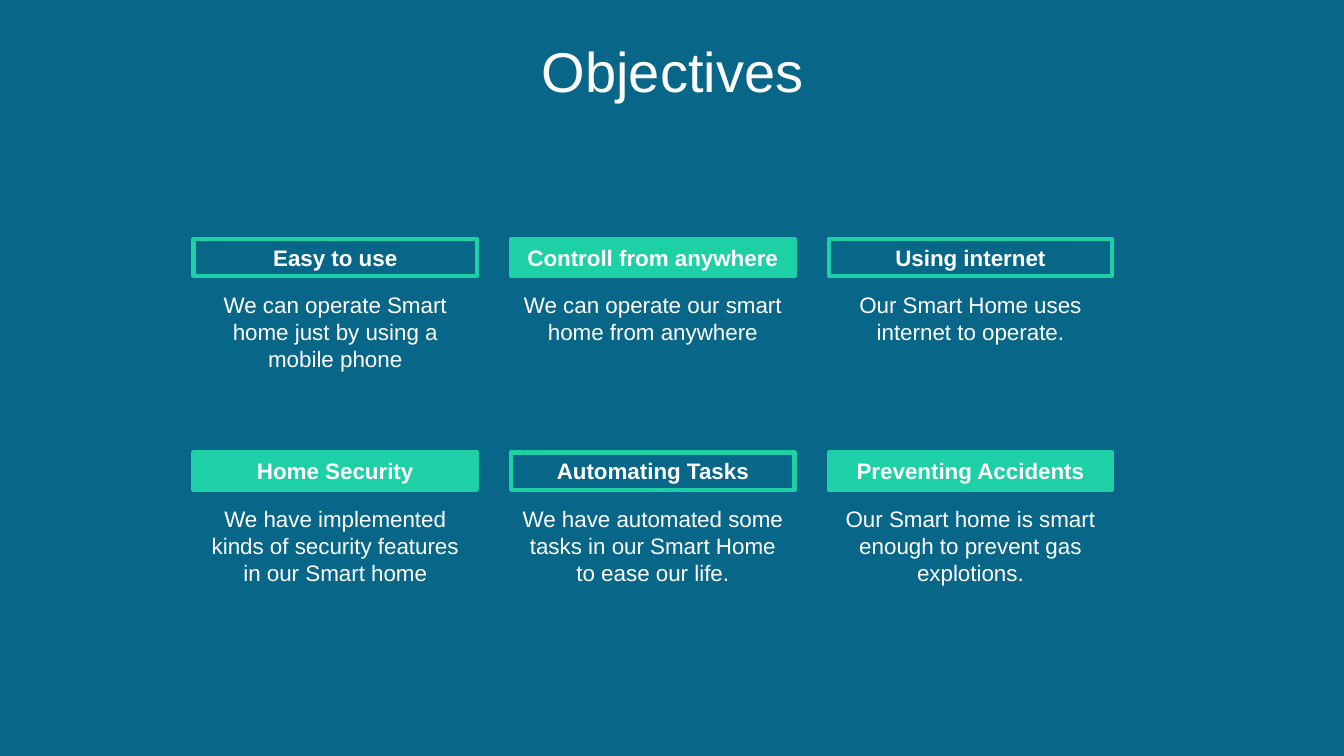
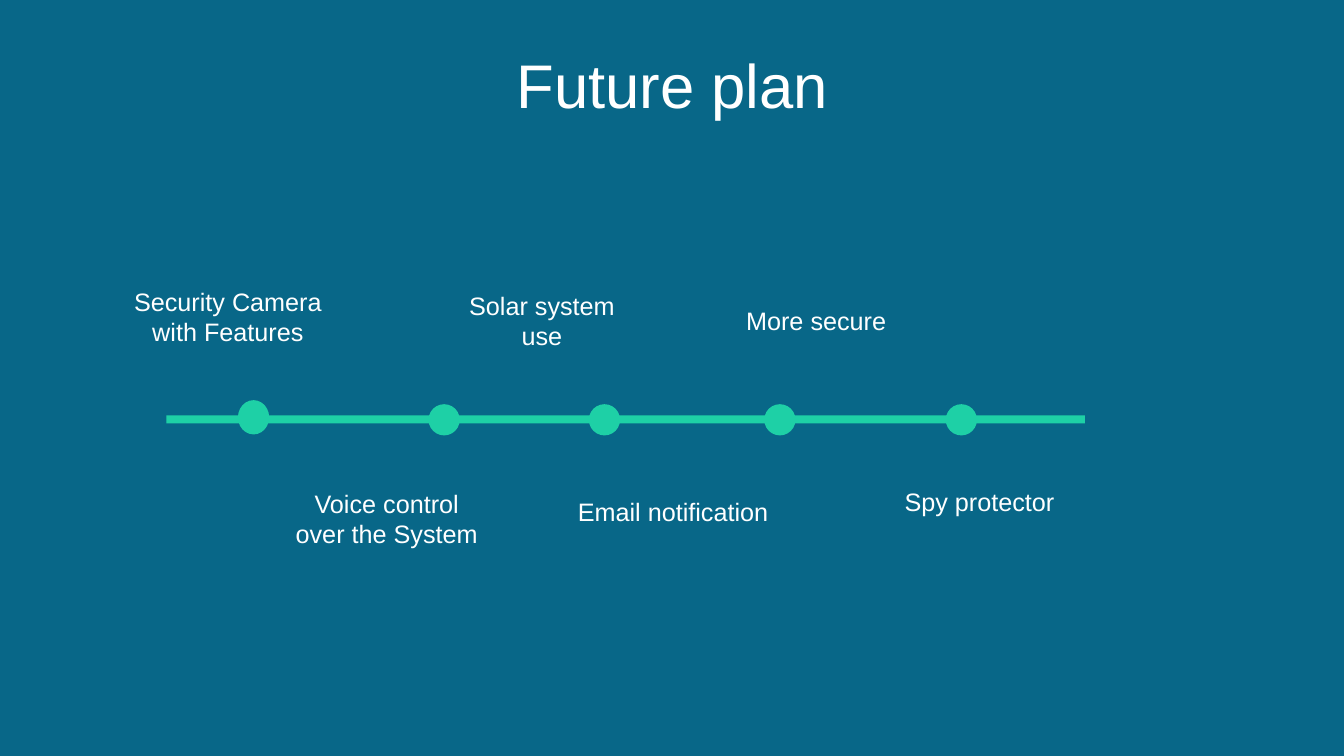
import pptx
import pptx.util
import pptx.dml.color
import pptx.enum.shapes
import pptx.enum.text

Inches = pptx.util.Inches
SHAPES = pptx.enum.shapes.MSO_SHAPE
ANCHOR = pptx.enum.text.MSO_ANCHOR
BLUE = pptx.dml.color.RGBColor(0x08, 0x67, 0x88)
GREEN = pptx.dml.color.RGBColor(0x1E, 0xD0, 0xA6)
WHITE = pptx.dml.color.RGBColor(0xFF, 0xFF, 0xFF)
FONT = "Arial"


def add_text(page, text, left, top, width, height, size=16, bold=False,
             anchor=ANCHOR.TOP, spacing=1.0, box=None):
    if box is None:
        box = page.shapes.add_textbox(Inches(left), Inches(top), Inches(width), Inches(height))
    frame = box.text_frame
    frame.word_wrap = True
    frame.vertical_anchor = anchor
    para = frame.paragraphs[0]
    para.alignment = pptx.enum.text.PP_ALIGN.CENTER
    para.line_spacing = spacing
    span = para.add_run()
    span.text = text
    span.font.name = FONT
    span.font.size = pptx.util.Pt(size)
    span.font.bold = bold
    span.font.color.rgb = WHITE


def add_block(page, kind, left, top, width, height, filled=True, outline=0):
    block = page.shapes.add_shape(kind, Inches(left), Inches(top), Inches(width), Inches(height))
    block.shadow.inherit = False
    if filled:
        block.fill.solid()
        block.fill.fore_color.rgb = GREEN
    else:
        block.fill.background()
    if outline:
        block.line.color.rgb = GREEN
        block.line.width = pptx.util.Pt(outline)
    else:
        block.line.fill.background()
    return block


deck = pptx.Presentation()
deck.slide_width = Inches(13.33)
deck.slide_height = Inches(7.5)
background = deck.slide_master.background.fill
background.solid()
background.fore_color.rgb = BLUE

pages = []
for title, top, size in [("Objectives", 0.34, 40), ("Future plan", 0.48, 44)]:
    page = deck.slides.add_slide(deck.slide_layouts[6])
    add_text(page, title, 0.34, top, 12.66, 0.79, size=size, anchor=ANCHOR.MIDDLE, spacing=0.9)
    pages.append(page)
objectives_page, plan_page = pages

objectives = [
    ("Easy to use", "We can operate Smart home just by using a mobile phone"),
    ("Controll from anywhere", "We can operate our smart home from anywhere"),
    ("Using internet", "Our Smart Home uses internet to operate."),
    ("Home Security", "We have implemented kinds of security features in our Smart home"),
    ("Automating Tasks", "We have automated some tasks in our Smart Home to ease our life."),
    ("Preventing Accidents", "Our Smart home is smart enough to prevent gas explotions."),
]
card_width = 2.81
for index, (heading, detail) in enumerate(objectives):
    row, column = divmod(index, 3)
    left = 1.92 + column * 3.15
    top = 2.37 + row * 2.12
    add_text(objectives_page, detail, left, top + 0.47, card_width, 0.91)
    bar = add_block(objectives_page, SHAPES.RECTANGLE, left, top, card_width, 0.37,
                    filled=index % 2 == 1, outline=3)
    add_text(objectives_page, heading, left, top, card_width, 0.37, bold=True, box=bar)

add_block(plan_page, SHAPES.RECTANGLE, 1.65, 4.12, 9.11, 0.08)
dot_size = 0.31
for left, top, height in [(2.36, 3.97, 0.34)] + [
        (left, 4.01, dot_size) for left in (4.25, 5.84, 7.58, 9.38)]:
    add_block(plan_page, SHAPES.OVAL, left, top, dot_size, height)

plans = [
    ("Security Camera with Features", 1.17, 2.79, 2.18, 0.71),
    ("Voice control over the System", 2.79, 4.79, 2.09, 0.71),
    ("Solar system use", 4.33, 2.83, 2.09, 0.71),
    ("Email notification", 5.63, 4.87, 2.09, 0.71),
    ("More secure", 7.05, 2.98, 2.09, 0.4),
    ("Spy protector", 8.67, 4.78, 2.09, 0.4),
]
for text, left, top, width, height in plans:
    add_text(plan_page, text, left, top, width, height, size=18)

deck.save("out.pptx")
